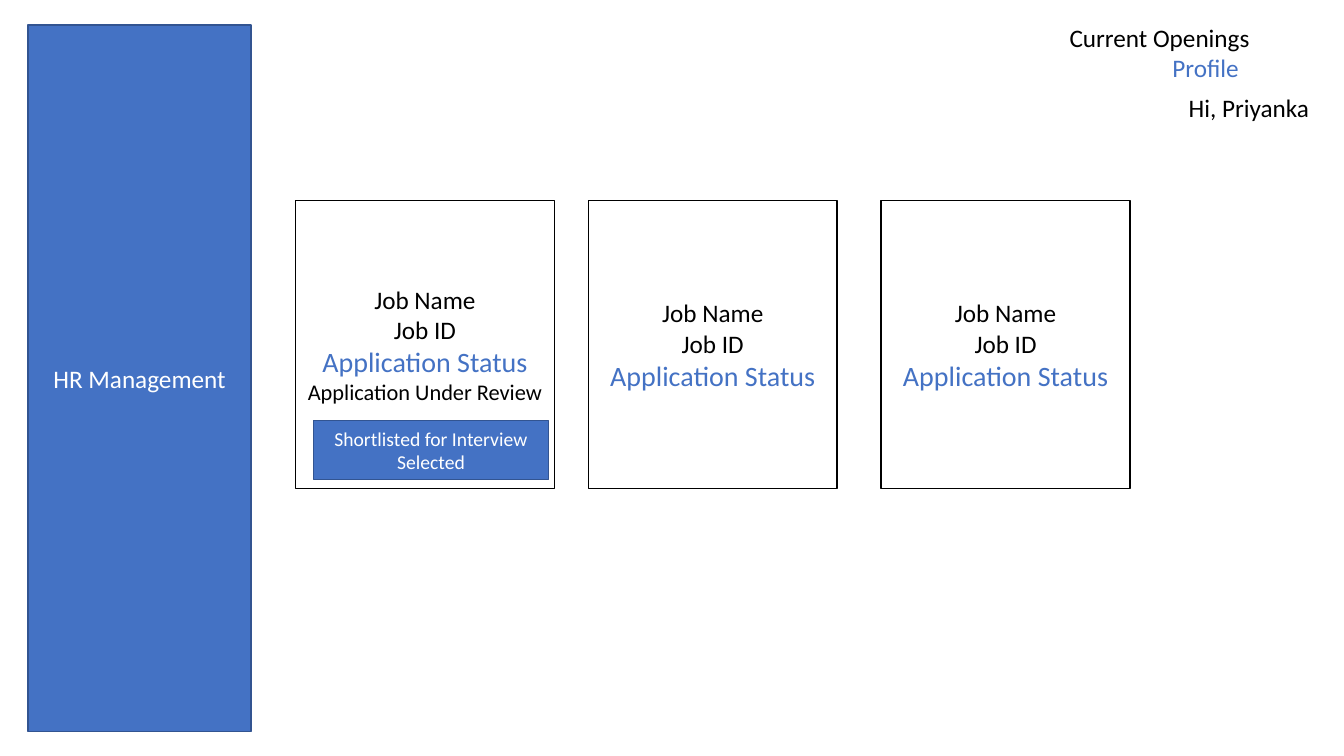
from dataclasses import dataclass

from pptx import Presentation
from pptx.dml.color import RGBColor
from pptx.enum.shapes import MSO_SHAPE
from pptx.enum.text import MSO_ANCHOR, MSO_AUTO_SIZE, PP_ALIGN
from pptx.util import Inches, Pt

RECTANGLE = MSO_SHAPE.RECTANGLE
MIDDLE = MSO_ANCHOR.MIDDLE
GROW = MSO_AUTO_SIZE.SHAPE_TO_FIT_TEXT
CENTER = PP_ALIGN.CENTER
LEFT = PP_ALIGN.LEFT

SLIDE_WIDTH = Inches(13.33)
SLIDE_HEIGHT = Inches(7.5)


@dataclass(frozen=True)
class Theme:
    font: str = "Calibri"
    blue: str = "4472C4"
    dark_blue: str = "325491"
    white: str = "FFFFFF"
    black: str = "000000"
    badge_size: int = 14
    note_size: int = 16
    body_size: int = 18
    status_size: int = 20
    line_width: int = 1


THEME = Theme()

CARD_LEFT, CARD_TOP = 21.98, 26.53
CARD_PITCH, CARD_HEIGHT = 21.79, 38.13
CARD_WIDTHS = (19.28, 18.52, 18.52)
LABEL_HEIGHT = 5.33

JOB_LINES = [
    ("Job Name", THEME.body_size, THEME.black),
    ("Job ID", THEME.body_size, THEME.black),
    ("Application Status", THEME.status_size, THEME.blue),
]
REVIEW_LINE = ("Application Under Review", THEME.note_size, THEME.black)


def place(left, top, width, height):
    return (
        round(SLIDE_WIDTH * left / 100),
        round(SLIDE_HEIGHT * top / 100),
        round(SLIDE_WIDTH * width / 100),
        round(SLIDE_HEIGHT * height / 100),
    )


def write_lines(text_frame, lines, alignment):
    text_frame.text = "\n".join(text for text, size, color in lines)
    for paragraph, (text, size, color) in zip(text_frame.paragraphs, lines):
        paragraph.alignment = alignment
        font = paragraph.runs[0].font
        font.name = THEME.font
        font.size = Pt(size)
        font.color.rgb = RGBColor.from_string(color)


def add_panel(slide, area, fill, outline, lines):
    shape = slide.shapes.add_shape(RECTANGLE, *place(*area))
    shape.shadow.inherit = False
    shape.fill.solid()
    shape.fill.fore_color.rgb = RGBColor.from_string(fill)
    shape.line.color.rgb = RGBColor.from_string(outline)
    shape.line.width = Pt(THEME.line_width)
    shape.text_frame.word_wrap = True
    shape.text_frame.vertical_anchor = MIDDLE
    write_lines(shape.text_frame, lines, CENTER)


def add_blue_panel(slide, area, size, *texts):
    lines = [(text, size, THEME.white) for text in texts]
    add_panel(slide, area, THEME.blue, THEME.dark_blue, lines)


def add_job_card(slide, index, width):
    area = (CARD_LEFT + index * CARD_PITCH, CARD_TOP, width, CARD_HEIGHT)
    lines = JOB_LINES + [REVIEW_LINE] if index == 0 else JOB_LINES
    add_panel(slide, area, THEME.white, THEME.black, lines)


def add_label(slide, text, left, top, width, color):
    box = slide.shapes.add_textbox(*place(left, top, width, LABEL_HEIGHT))
    box.text_frame.word_wrap = False
    box.text_frame.auto_size = GROW
    write_lines(box.text_frame, [(text, THEME.body_size, color)], LEFT)


def main():
    presentation = Presentation()
    presentation.slide_width = SLIDE_WIDTH
    presentation.slide_height = SLIDE_HEIGHT
    slide = presentation.slides.add_slide(presentation.slide_layouts[6])

    add_blue_panel(slide, (2.1, 3.33, 16.58, 93.47), THEME.body_size, "HR Management")
    for index, width in enumerate(CARD_WIDTHS):
        add_job_card(slide, index, width)
    add_label(slide, "Hi, Priyanka", 87.7, 11.6, 10.95, THEME.black)
    add_label(slide, "Profile", 86.5, 6.27, 7.28, THEME.blue)
    add_blue_panel(slide, (23.33, 55.6, 17.48, 7.87), THEME.badge_size,
                   "Shortlisted for Interview", "Selected")
    add_label(slide, "Current Openings", 78.84, 2.27, 14.93, THEME.black)

    presentation.save("out.pptx")


if __name__ == "__main__":
    main()
